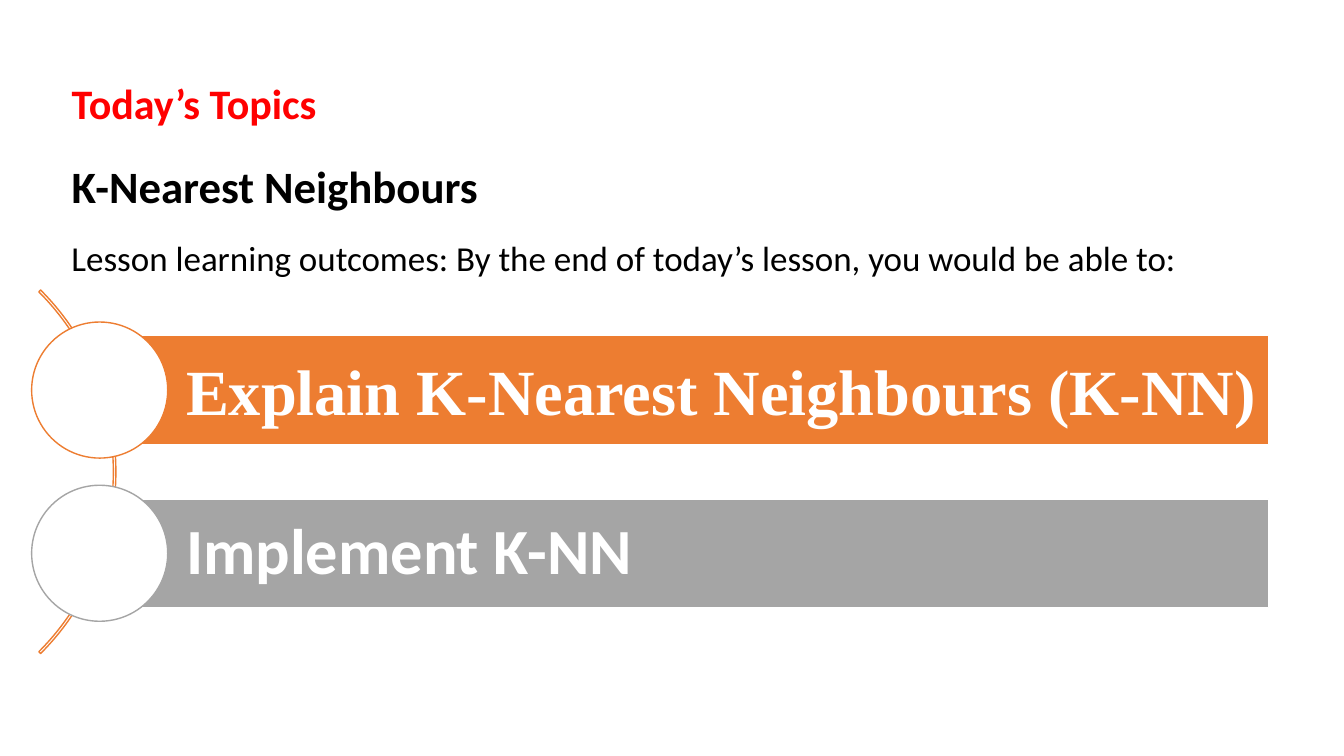
from pptx import Presentation
from pptx import util as u
from pptx.dml.color import RGBColor
from pptx.enum import shapes, text

ORANGE, GREY, WHITE, BLACK, RED = "ED7D31", "A5A5A5", "FFFFFF", "000000", "FF0000"


def colour(code):
    return RGBColor.from_string(code)


class TopicSlide:
    """Holds the text style and the current slide, and adds its elements."""

    font = "Calibri"

    def __init__(self, deck):
        self.slide = deck.slides.add_slide(deck.slide_layouts[5])

    def format_text(self, para, size, code, bold=True, font=None, spacing=1.0):
        para.alignment = text.PP_ALIGN.LEFT
        para.line_spacing = spacing
        for span in para.runs:
            span.font.name = font or self.font
            span.font.size = u.Pt(size)
            span.font.bold = bold
            span.font.color.rgb = colour(code)

    def title(self, left, top, width, height, lines, gap):
        box = self.slide.shapes.title
        box.left, box.top, box.width, box.height = map(u.Pt, (left, top, width, height))
        frame = box.text_frame
        frame.text = "\n".join(line for line, size, code in lines)
        frame.auto_size = text.MSO_AUTO_SIZE.NONE
        frame.vertical_anchor = text.MSO_ANCHOR.TOP
        for para, (line, size, code) in zip(frame.paragraphs, lines):
            self.format_text(para, size, code)
            para.space_before = u.Pt(0)
        frame.paragraphs[-1].space_before = u.Pt(gap)

    def label(self, left, top, width, height, words, size, code):
        box = self.slide.shapes.add_textbox(*map(u.Pt, (left, top, width, height)))
        frame = box.text_frame
        frame.word_wrap = True
        frame.vertical_anchor = text.MSO_ANCHOR.MIDDLE
        frame.text = words
        self.format_text(frame.paragraphs[0], size, code, bold=False, spacing=0.9)

    def shape(self, kind, left, top, width, height, fill, line):
        shape = self.slide.shapes.add_shape(kind, *map(u.Pt, (left, top, width, height)))
        shape.shadow.inherit = False
        if fill:
            shape.fill.solid()
            shape.fill.fore_color.rgb = colour(fill)
        else:
            shape.fill.background()
        shape.line.color.rgb = colour(line)
        shape.line.width = u.Pt(1)
        return shape

    def arc(self, left, top, size, start, end, thickness, line):
        arc = self.shape(shapes.MSO_SHAPE.BLOCK_ARC, left, top, size, size, None, line)
        for index, value in enumerate((start, end, thickness)):
            arc.adjustments[index] = value

    def outcome(self, left, middle, words, code, font, spacing):
        width, height, diameter = 835, 77.6, 97.2
        bar = self.shape(shapes.MSO_SHAPE.RECTANGLE, left, middle - height / 2,
                         width, height, code, WHITE)
        frame = bar.text_frame
        frame.word_wrap = True
        frame.vertical_anchor = text.MSO_ANCHOR.MIDDLE
        frame.margin_left, frame.margin_right = u.Pt(61.7), u.Pt(4)
        frame.margin_top = frame.margin_bottom = u.Pt(9.2)
        frame.text = words
        self.format_text(frame.paragraphs[0], 46, WHITE, font=font, spacing=spacing)
        self.shape(shapes.MSO_SHAPE.OVAL, left - diameter / 2, middle - diameter / 2,
                   diameter, diameter, WHITE, code)


def main():
    deck = Presentation()
    deck.slide_width, deck.slide_height = u.Pt(960), u.Pt(540)
    page = TopicSlide(deck)
    page.title(44, 52, 559, 104.4,
               [("Today’s Topics", 30, RED), ("K-Nearest Neighbours", 32, BLACK)], gap=22)
    page.label(44, 166.3, 806, 39.6,
               "Lesson learning outcomes: By the end of today’s lesson, you would be able to:",
               25, BLACK)
    page.arc(-284.4, 153.4, 367.2, 189, 27, 0.005, ORANGE)
    outcomes = [("Explain K-Nearest Neighbours (K-NN)", ORANGE, "Times New Roman", 1.0),
                ("Implement K-NN", GREY, "Calibri", 0.9)]
    for index, (words, code, font, spacing) in enumerate(outcomes):
        page.outcome(71.2, 278.6 + index * 116.6, words, code, font, spacing)
    deck.save("out.pptx")


if __name__ == "__main__":
    main()
